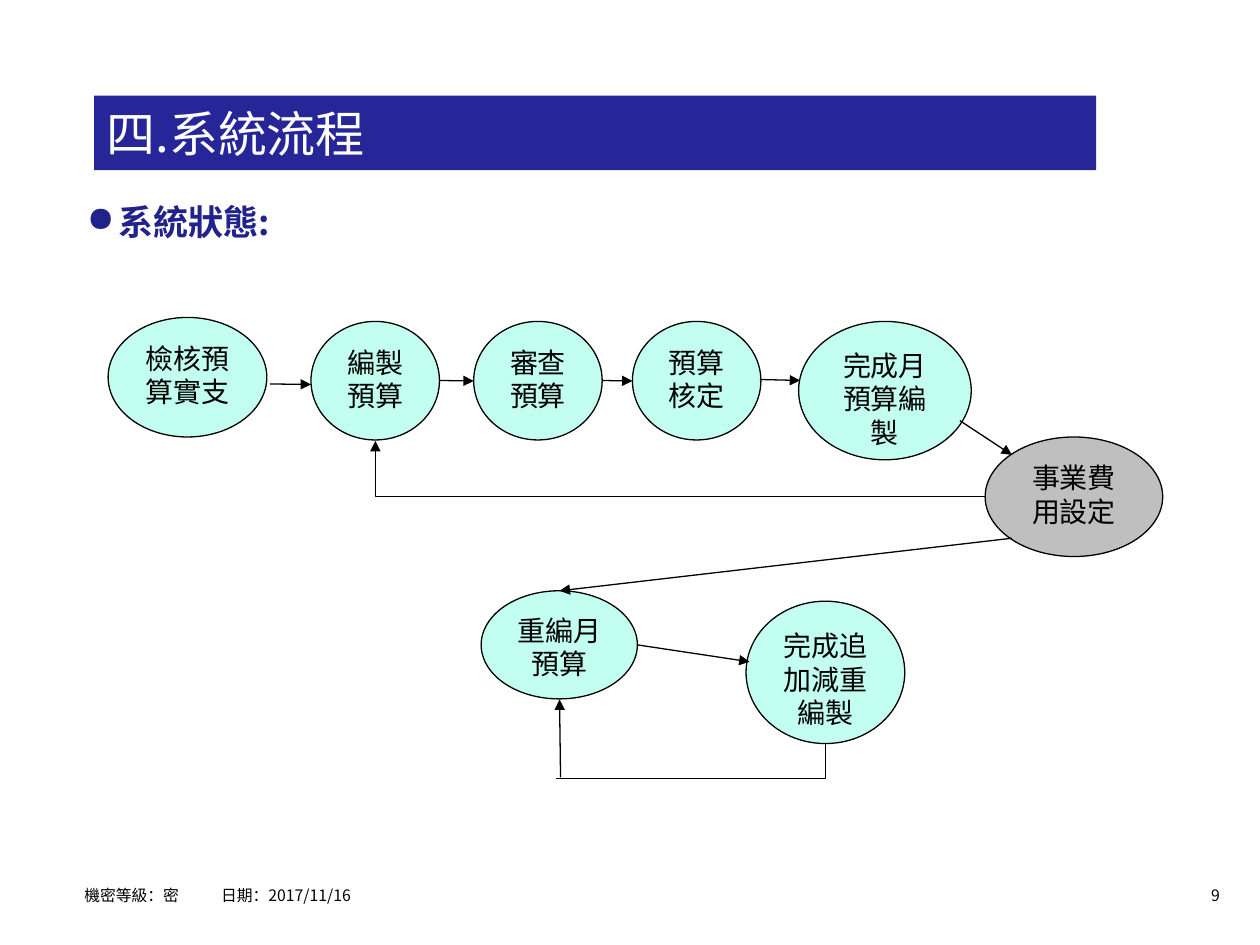
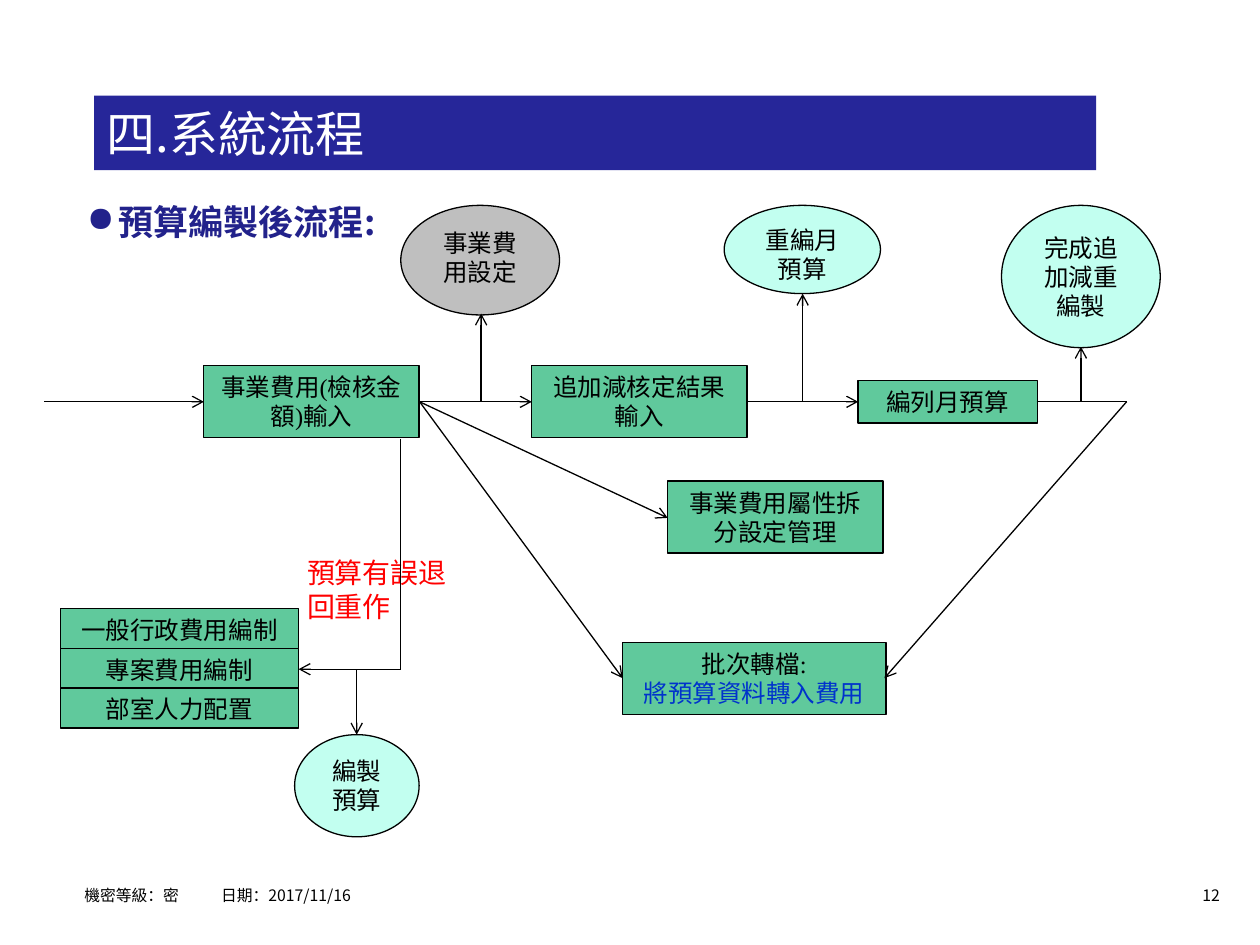
"""Build two system-flow slides: the budget states and the steps after budgeting."""
import lxml.etree
import pptx
import pptx.dml.color
import pptx.enum.shapes
import pptx.enum.text
import pptx.oxml.ns
import pptx.util

Cm, Pt = pptx.util.Cm, pptx.util.Pt
RGB = pptx.dml.color.RGBColor.from_string
MSO = pptx.enum.shapes.MSO_SHAPE
CXN = pptx.enum.shapes.MSO_CONNECTOR
ALIGN = pptx.enum.text.PP_ALIGN
ANCHOR = pptx.enum.text.MSO_ANCHOR
qn = pptx.oxml.ns.qn
SANS, SERIF = "Noto Sans CJK SC", "Times New Roman"
COLORS = {
    "band": "262699", "heading": "22228B", "state": "C2FFF0", "set": "BFBFBF",
    "step": "60C99C", "ink": "000000", "white": "FFFFFF", "alert": "FF0000",
    "note": "0033CC",
}
BASE = {"geom": None, "fill": None, "line": None, "size": 14, "color": "ink",
        "font": SANS, "bold": False, "align": ALIGN.LEFT, "anchor": ANCHOR.TOP,
        "left": 0.25, "leading": 1.2}
STYLES = {
    "title": {"geom": MSO.RECTANGLE, "fill": "band", "size": 28, "color": "white",
              "anchor": ANCHOR.MIDDLE},
    "heading": {"size": 20, "color": "heading", "bold": True},
    "footer": {"size": 9, "left": 0, "leading": 1.8},
    "number": {"size": 9, "align": ALIGN.RIGHT},
    "alert": {"size": 16, "color": "alert"},
    "state": {"geom": MSO.OVAL, "fill": "state", "line": "ink", "align": ALIGN.CENTER},
    "set": {"geom": MSO.OVAL, "fill": "set", "line": "ink", "align": ALIGN.CENTER},
    "step": {"geom": MSO.RECTANGLE, "fill": "step", "line": "ink",
             "font": SERIF, "align": ALIGN.CENTER},
}


def add_box(s, style, x, y, w, h, text, **changes):
    f = {**BASE, **STYLES[style], **changes}
    area = [Cm(v) for v in (x, y, w, h)]
    if f["geom"] is None:
        sp = s.shapes.add_textbox(*area)
    else:
        sp = s.shapes.add_shape(f["geom"], *area)
        sp.shadow.inherit = False
        sp.fill.solid()
        sp.fill.fore_color.rgb = RGB(COLORS[f["fill"]])
        if f["line"]:
            sp.line.color.rgb = RGB(COLORS[f["line"]])
            sp.line.width = Pt(0.75)
        else:
            sp.line.fill.background()
    tf = sp.text_frame
    frame = {"word_wrap": True, "vertical_anchor": f["anchor"],
             "margin_left": Cm(f["left"]), "margin_right": Cm(0.25),
             "margin_top": Cm(0.13), "margin_bottom": Cm(0.13)}
    for name, value in frame.items():
        setattr(tf, name, value)
    for i, line in enumerate(text.split("\n")):
        p = tf.add_paragraph() if i else tf.paragraphs[0]
        p.alignment = f["align"]
        p.line_spacing = Pt(f["size"] * f["leading"])
        r = p.add_run()
        r.text = line
        for name, value in {"name": f["font"], "size": Pt(f["size"]), "bold": f["bold"]}.items():
            setattr(r.font, name, value)
        r.font.color.rgb = RGB(COLORS[f["color"]])
        lxml.etree.SubElement(r.font._element, qn("a:ea"), typeface=SANS)
    return sp


def add_line(s, x1, y1, x2, y2, head=None, bent=False):
    kind = CXN.ELBOW if bent else CXN.STRAIGHT
    c = s.shapes.add_connector(kind, Cm(x1), Cm(y1), Cm(x2), Cm(y2))
    c.line.color.rgb = RGB(COLORS["ink"])
    c.line.width = Pt(0.75)
    spPr = c._element.spPr
    if bent:
        spPr.find(qn("a:prstGeom")).set("prst", "bentConnector2")
    if head:
        lxml.etree.SubElement(spPr.find(qn("a:ln")), qn("a:tailEnd"), type=head)
    lxml.etree.SubElement(spPr, qn("a:effectLst"))


prs = pptx.Presentation()
prs.slide_width, prs.slide_height = Cm(25.4), Cm(19.05)

slides = []
for heading, number in (("系統狀態:", "9"), ("預算編製後流程:", "12")):
    s = prs.slides.add_slide(prs.slide_layouts[6])
    slides.append(s)
    add_box(s, "title", 1.9, 1.93, 20.2, 1.5, "四.系統流程")
    sp = add_box(s, "heading", 1.5, 3.91, 22.2, 1.2, heading)
    pPr = sp.text_frame.paragraphs[0]._p.get_or_add_pPr()
    pPr.set("marL", str(Cm(0.64)))
    pPr.set("indent", str(-Cm(0.64)))
    clr = lxml.etree.SubElement(pPr, qn("a:buClr"))
    lxml.etree.SubElement(clr, qn("a:srgbClr"), val=COLORS["heading"])
    lxml.etree.SubElement(pPr, qn("a:buChar"), char="●")
    sp = add_box(s, "footer", 1.7, 17.53, 18.85, 0.79, "機密等級：密\t日期：2017/11/16")
    pPr = sp.text_frame.paragraphs[0]._p.get_or_add_pPr()
    tabs = lxml.etree.SubElement(pPr, qn("a:tabLst"))
    lxml.etree.SubElement(tabs, qn("a:tab"), pos=str(Cm(2.76)), algn="l")
    add_box(s, "number", 23.11, 17.73, 1.73, 0.64, number)

states, flow = slides

for style, x, y, w, h, text in (
    ("state", 2.18, 6.4, 3.2, 2.41, "檢核預算實支"),
    ("state", 6.27, 6.48, 2.59, 2.39, "編製預算"),
    ("state", 9.55, 6.48, 2.59, 2.39, "審查預算"),
    ("state", 12.75, 6.48, 2.59, 2.39, "預算核定"),
    ("state", 16.1, 6.48, 3.48, 2.79, "完成月預算編製"),
    ("set", 19.86, 8.81, 3.58, 2.41, "事業費用設定"),
    ("state", 9.7, 11.91, 3.15, 2.18, "重編月預算"),
    ("state", 15.04, 12.12, 3.2, 2.87, "完成追加減重編製"),
):
    add_box(states, style, x, y, w, h, text, size=16)

for ends in (
    (5.44, 7.74, 6.27, 7.75), (8.86, 7.67, 9.55, 7.68), (12.14, 7.67, 12.75, 7.68),
    (15.32, 7.65, 16.13, 7.67), (19.35, 8.48, 20.4, 9.17), (20.4, 10.85, 11.28, 11.91),
    (12.85, 13, 15.11, 13.34), (11.3, 15.67, 11.28, 14.1),
):
    add_line(states, *ends, head="triangle")
add_line(states, 19.86, 10.01, 7.57, 8.89, head="triangle", bent=True)
add_line(states, 11.2, 15.7, 16.64, 14.99, bent=True)

for style, x, y, w, h, text in (
    ("step", 4.11, 7.37, 4.34, 1.45, "事業費用(檢核金額)輸入"),
    ("step", 10.72, 7.37, 4.34, 1.45, "追加減核定結果輸入"),
    ("step", 17.3, 7.67, 3.61, 0.86, "編列月預算"),
    ("step", 13.46, 9.7, 4.34, 1.45, "事業費用屬性拆分設定管理"),
    ("set", 8.08, 4.14, 3.2, 2.21, "事業費用設定"),
    ("state", 14.6, 4.14, 3.15, 1.78, "重編月預算"),
    ("state", 20.19, 4.14, 3.2, 2.87, "完成追加減重編製"),
    ("state", 5.94, 14.81, 2.51, 2.06, "編製預算"),
    ("alert", 5.94, 11.07, 3.4, 1.63, "預算有誤退回重作"),
):
    add_box(flow, style, x, y, w, h, text)

for i, text in enumerate(("一般行政費用編制", "專案費用編制", "部室人力配置")):
    add_box(flow, "step", 1.22, 12.27 + 0.8 * i, 4.8, 0.81, text, font=SANS)

sp = add_box(flow, "step", 12.55, 12.95, 5.31, 1.45, "批次轉檔:\n將預算資料轉入費用")
sp.text_frame.paragraphs[1].runs[0].font.color.rgb = RGB(COLORS["note"])

axis = 8.1
back = 13.49
for ends in (
    (0.89, axis, 4.11, axis), (8.46, axis, 10.72, axis), (15.06, axis, 17.3, axis),
    (9.7, axis, 9.7, 6.32), (16.18, axis, 16.18, 5.92), (21.79, axis, 21.79, 6.99),
    (8.46, axis, 13.46, 10.44), (8.46, axis, 12.55, 13.67), (22.71, axis, 17.83, 13.67),
    (8.08, back, 6.02, back), (6.02, back, 6.02, back), (7.19, back, 7.19, 14.81),
):
    add_line(flow, *ends, head="arrow")
add_line(flow, 20.9, axis, 22.71, axis)
add_line(flow, 8.08, 8.84, 8.08, back)

prs.save("out.pptx")
